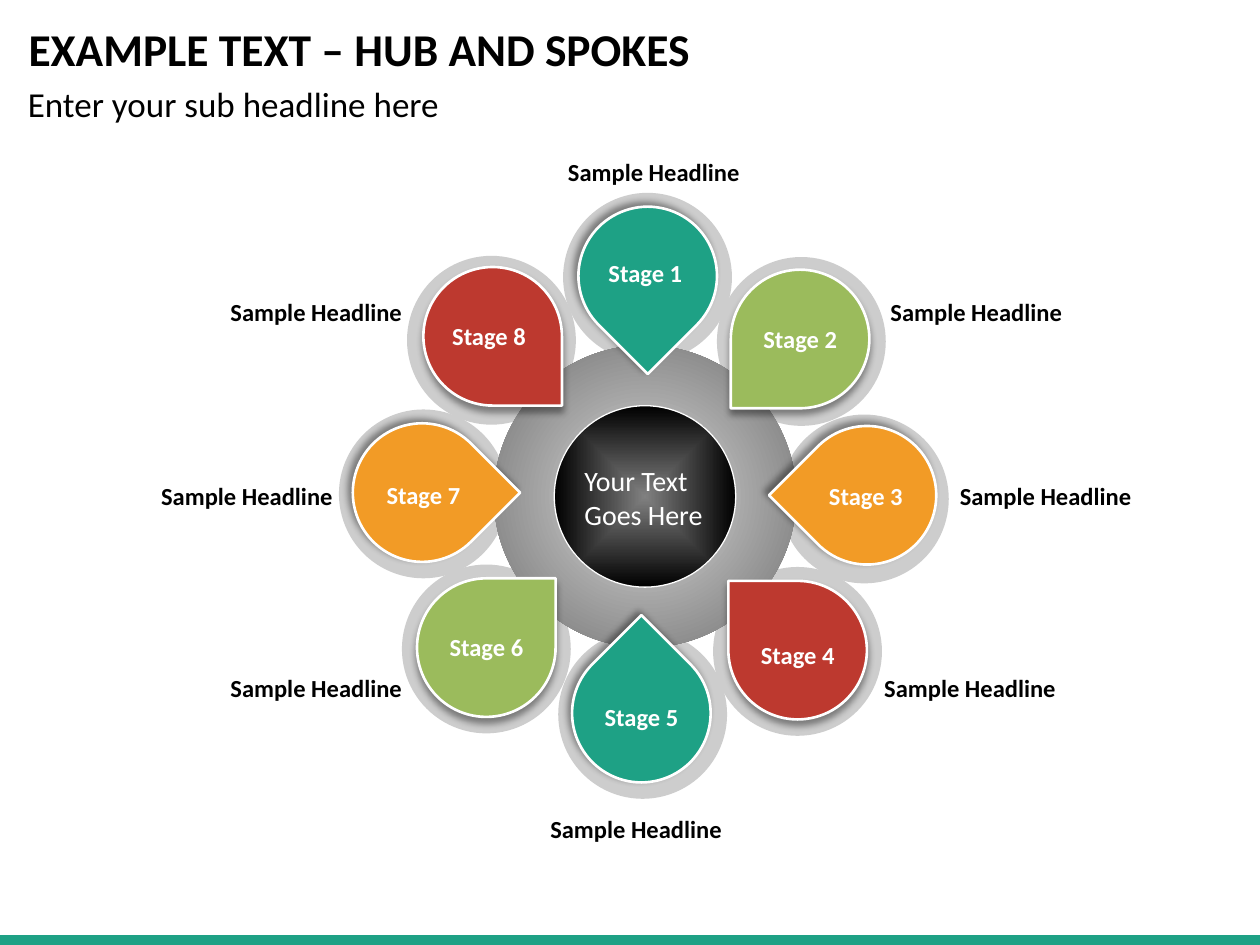
from lxml import etree
from pptx import Presentation
from pptx.dml.color import RGBColor
from pptx.enum.shapes import MSO_SHAPE
from pptx.enum.text import MSO_ANCHOR, MSO_AUTO_SIZE
from pptx.oxml import parse_xml
from pptx.oxml.ns import nsdecls, qn
from pptx.util import Pt

FONT = "Calibri"
COLORS = {
    "black": "000000", "white": "FFFFFF", "ring": "CDCDCD",
    "teal": "1EA185", "green": "9BBB5C", "orange": "F29B26", "red": "BD392F",
    "disc_inner": "D9D9D9", "disc_outer": "7C7C7C", "hub_inner": "808080",
}
STAGE_COLORS = ["teal", "green", "orange", "red"]
RING_SIZE, DROP_SIZE = 96.5, 79.2
HUB_CENTER = (368.6, 283.7)

# Left and top of each stage's ring, drop, label and headline, clockwise from the top
STAGES = [
    {"ring": (321.8, 110.2), "drop": (330.5, 118.1), "label": (340.6, 144), "headline": (317.5, 86.4)},
    {"ring": (409.7, 146.9), "drop": (417.6, 154.1), "label": (429.1, 181.4), "headline": (501.8, 166.3)},
    {"ring": (445.7, 236.9), "drop": (455.8, 243.4), "label": (466.6, 271.4), "headline": (541.4, 271.4)},
    {"ring": (407.5, 324), "drop": (416.2, 331.9), "label": (427.7, 362.2), "headline": (498.2, 380.9)},
    {"ring": (319, 360), "drop": (326.9, 367.9), "label": (338.4, 397.4), "headline": (307.4, 461.5)},
    {"ring": (229.7, 322.6), "drop": (238.3, 330.5), "label": (249.8, 357.8), "headline": (124.6, 380.9)},
    {"ring": (193.7, 234), "drop": (201.6, 241.9), "label": (213.8, 270.7), "headline": (85, 271.4)},
    {"ring": (232.6, 146.2), "drop": (241.9, 152.6), "label": (251.3, 180), "headline": (124.6, 166.3)},
]


def color(name):
    return RGBColor.from_string(COLORS[name])


def add_text(slide, text, left, top, width, height, *, size=14, bold=False, fill="black",
             wrap=False, anchor=MSO_ANCHOR.TOP, line_spacing=None, space_after=None):
    box = slide.shapes.add_textbox(Pt(left), Pt(top), Pt(width), Pt(height))
    frame = box.text_frame
    frame.word_wrap = wrap
    frame.auto_size = MSO_AUTO_SIZE.NONE if wrap else MSO_AUTO_SIZE.SHAPE_TO_FIT_TEXT
    frame.vertical_anchor = anchor
    paragraph = frame.paragraphs[0]
    paragraph.text = text
    paragraph.line_spacing = line_spacing
    if space_after is not None:
        paragraph.space_after = Pt(space_after)
    for run in paragraph.runs:
        run.font.name = FONT
        run.font.size = Pt(size)
        run.font.bold = bold
        run.font.color.rgb = color(fill)


def add_shape(slide, kind, left, top, width, height, fill, line_width=None):
    shape = slide.shapes.add_shape(kind, Pt(left), Pt(top), Pt(width), Pt(height))
    shape.shadow.inherit = False
    shape.fill.solid()
    shape.fill.fore_color.rgb = color(fill)
    if line_width is None:
        shape.line.fill.background()
    else:
        shape.line.color.rgb = color("white")
        shape.line.width = Pt(line_width)
    return shape


def add_gradient_disc(slide, size, inner, outer, outer_stop, path_kind, line_width=None):
    left, top = (center - size / 2 for center in HUB_CENTER)
    disc = add_shape(slide, MSO_SHAPE.OVAL, left, top, size, size, inner, line_width)
    properties = disc._element.spPr
    gradient = parse_xml(
        f'<a:gradFill {nsdecls("a")} rotWithShape="1"><a:gsLst>'
        f'<a:gs pos="0"><a:srgbClr val="{COLORS[inner]}"/></a:gs>'
        f'<a:gs pos="{outer_stop * 1000}"><a:srgbClr val="{COLORS[outer]}"/></a:gs></a:gsLst>'
        f'<a:path path="{path_kind}"><a:fillToRect l="50000" t="50000" r="50000" b="50000"/></a:path>'
        '</a:gradFill>')
    properties.replace(properties.find(qn("a:solidFill")), gradient)


def add_drop(slide, left, top, fill, rotation, shadow_angle):
    drop = add_shape(slide, MSO_SHAPE.TEAR, left, top, DROP_SIZE, DROP_SIZE, fill, 1.5)
    drop.rotation = rotation
    effects = drop._element.spPr.find(qn("a:effectLst"))
    shadow = etree.SubElement(effects, qn("a:outerShdw"), blurRad=str(Pt(4)), dist=str(Pt(3)),
                              dir=str(shadow_angle * 60000), algn="ctr", rotWithShape="0")
    shade = etree.SubElement(shadow, qn("a:srgbClr"), val=COLORS["black"])
    etree.SubElement(shade, qn("a:alpha"), val="40000")


def main():
    presentation = Presentation()
    presentation.slide_width, presentation.slide_height = Pt(720), Pt(540)
    slide = presentation.slides.add_slide(presentation.slide_layouts[6])

    # Footer bar and headings
    add_shape(slide, MSO_SHAPE.RECTANGLE, 0, 534.4, 720, 5.6, "teal")
    add_text(slide, "EXAMPLE TEXT – HUB AND SPOKES", 9.2, 12.2, 620.6, 34.6, size=26, bold=True,
             wrap=True, anchor=MSO_ANCHOR.MIDDLE, line_spacing=0.9)
    add_text(slide, "Enter your sub headline here", 8.8, 46.1, 397.4, 46.1, size=20,
             wrap=True, line_spacing=0.9)

    # Rings and outer headlines
    for stage in STAGES:
        add_shape(slide, MSO_SHAPE.OVAL, *stage["ring"], RING_SIZE, RING_SIZE, "ring")
    for stage in STAGES:
        add_text(slide, "Sample Headline", *stage["headline"], 113, 22.3, bold=True, space_after=2)

    # Hub
    add_gradient_disc(slide, 172.8, "disc_inner", "disc_outer", 88, "circle")
    add_gradient_disc(slide, 103.7, "hub_inner", "black", 100, "shape", 0.75)
    add_text(slide, "Your Text\nGoes Here", 326.9, 261.4, 82.8, 42.5, size=16, fill="white")

    # Stage drops, each turned to point at the hub
    for index, stage in enumerate(STAGES):
        add_drop(slide, *stage["drop"], STAGE_COLORS[index % 4],
                 rotation=(135 + 45 * index) % 360, shadow_angle=90 if index % 2 else 225)
    for number, stage in enumerate(STAGES, 1):
        add_text(slide, f"Stage {number}", *stage["label"], 56.9, 22.3, bold=True, fill="white")

    presentation.save("out.pptx")


if __name__ == "__main__":
    main()
